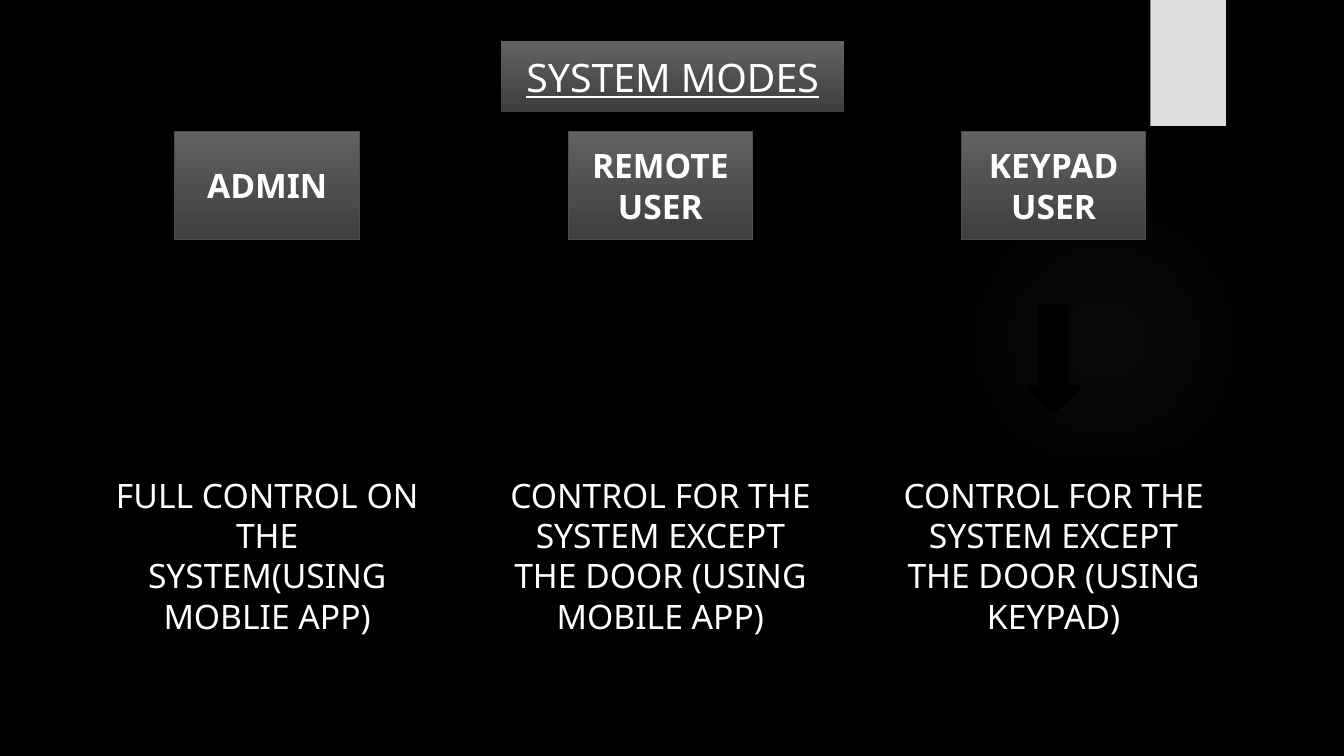
from dataclasses import dataclass

from lxml import etree
from pptx import Presentation
from pptx.dml.color import RGBColor
from pptx.enum.shapes import MSO_SHAPE
from pptx.enum.text import MSO_ANCHOR, MSO_AUTO_SIZE, PP_ALIGN
from pptx.oxml import parse_xml
from pptx.oxml.ns import qn
from pptx.util import Inches, Pt

TITLE = "SYSTEM MODES"
MODES = [
    ("ADMIN", "FULL CONTROL ON THE SYSTEM(USING MOBLIE APP)"),
    ("REMOTE USER", "CONTROL FOR THE SYSTEM EXCEPT THE DOOR (USING MOBILE APP)"),
    ("KEYPAD USER", "CONTROL FOR THE SYSTEM EXCEPT THE DOOR (USING KEYPAD)"),
]
GLOW_STOPS = [(0, 7), (36, 6), (69, 0)]

RECTANGLE = MSO_SHAPE.RECTANGLE
ROUNDED = MSO_SHAPE.ROUNDED_RECTANGLE
ARROW = MSO_SHAPE.DOWN_ARROW
OVAL = MSO_SHAPE.OVAL
CENTER = PP_ALIGN.CENTER
MIDDLE = MSO_ANCHOR.MIDDLE
FIXED_SIZE = MSO_AUTO_SIZE.NONE

TITLE_BOX = (4.97, 0.41, 3.4, 0.7)
FIRST_CENTER, COLUMN_STEP = 2.65, 3.9
LABEL_TOP, LABEL_SIZE = 1.3, (1.83, 1.08)
ARROW_TOP, ARROW_SIZE = 3.03, (0.53, 1.07)
PANEL_TOP, PANEL_SIZE = 4.51, (3.4, 2)


@dataclass(frozen=True)
class Theme:
    """Colours and type of the slide."""
    black: str = "000000"
    white: str = "FFFFFF"
    tab: str = "DDDDDD"
    glow: str = "666666"
    gradient: tuple = ("626262", "3E3E3E")
    border: str = "4D4D4D"
    font: str = "Noto Sans"
    title_size: int = 28
    body_size: int = 24


THEME = Theme()


def color(value):
    """Turn a hex value into a colour."""
    return RGBColor.from_string(value)


def fill_solid(shape, value, opacity=100):
    """Fill a shape with one colour."""
    shape.fill.solid()
    shape.fill.fore_color.rgb = color(value)
    if opacity < 100:
        element = shape._element.spPr.find(qn("a:solidFill"))[0]
        etree.SubElement(element, qn("a:alpha")).set("val", str(opacity * 1000))


def fill_gradient(shape):
    """Fill a shape from light grey at the top to dark grey."""
    shape.fill.gradient()
    shape.fill.gradient_angle = 270
    for stop, value in zip(shape.fill.gradient_stops, THEME.gradient):
        stop.color.rgb = color(value)


def fill_glow(shape):
    """Fill a shape with a faint radial glow."""
    stops = "".join(
        f'<a:gs pos="{position * 1000}"><a:srgbClr val="{THEME.glow}">'
        f'<a:alpha val="{opacity * 1000}"/></a:srgbClr></a:gs>'
        for position, opacity in GLOW_STOPS
    )
    gradient = parse_xml(
        '<a:gradFill xmlns:a="http://schemas.openxmlformats.org/drawingml/2006/main">'
        f'<a:gsLst>{stops}</a:gsLst><a:path path="circle">'
        '<a:fillToRect l="50000" t="50000" r="50000" b="50000"/></a:path></a:gradFill>'
    )
    shape._element.spPr.find(qn("a:prstGeom")).addnext(gradient)


def add_block(slide, kind, left, top, size):
    """Add a shape without shadow or outline."""
    shape = slide.shapes.add_shape(kind, *map(Inches, (left, top, *size)))
    shape.shadow.inherit = False
    shape.line.fill.background()
    return shape


def set_outline(shape, value, width):
    """Outline a shape."""
    shape.line.color.rgb = color(value)
    shape.line.width = Pt(width)


def write(shape, text, size, bold=False, underline=False):
    """Write centred white text in a shape of fixed size."""
    frame = shape.text_frame
    frame.text = text
    frame.word_wrap = True
    frame.auto_size = FIXED_SIZE
    frame.vertical_anchor = MIDDLE
    paragraph = frame.paragraphs[0]
    paragraph.alignment = CENTER
    font = paragraph.font
    font.name = THEME.font
    font.size = Pt(size)
    font.bold = bold
    font.underline = underline
    font.color.rgb = color(THEME.white)


def add_title(slide):
    """Place and format the title."""
    title = slide.shapes.title
    title.left, title.top, title.width, title.height = map(Inches, TITLE_BOX)
    fill_gradient(title)
    write(title, TITLE, THEME.title_size, underline=True)


def add_mode(slide, center, name, description):
    """Add a label, an arrow and a description in one column."""
    label = add_block(slide, RECTANGLE, center - LABEL_SIZE[0] / 2, LABEL_TOP, LABEL_SIZE)
    fill_gradient(label)
    set_outline(label, THEME.border, 0.75)
    write(label, name, THEME.body_size, bold=True)

    arrow = add_block(slide, ARROW, center - ARROW_SIZE[0] / 2, ARROW_TOP, ARROW_SIZE)
    fill_solid(arrow, THEME.black)
    set_outline(arrow, THEME.black, 1.5)

    panel = add_block(slide, ROUNDED, center - PANEL_SIZE[0] / 2, PANEL_TOP, PANEL_SIZE)
    fill_solid(panel, THEME.black, opacity=50)
    write(panel, description, THEME.body_size)


def main():
    """Build the system modes slide."""
    presentation = Presentation()
    presentation.slide_width, presentation.slide_height = Inches(13.33), Inches(7.5)
    slide = presentation.slides.add_slide(presentation.slide_layouts[5])
    slide.background.fill.solid()
    slide.background.fill.fore_color.rgb = color(THEME.black)

    fill_glow(add_block(slide, OVAL, 9.41, 1.83, (3.08, 3.08)))
    fill_solid(add_block(slide, RECTANGLE, 11.41, 0, (0.75, 1.25)), THEME.tab)
    add_title(slide)
    for index, (name, description) in enumerate(MODES):
        add_mode(slide, FIRST_CENTER + index * COLUMN_STEP, name, description)
    presentation.save("out.pptx")


if __name__ == "__main__":
    main()
